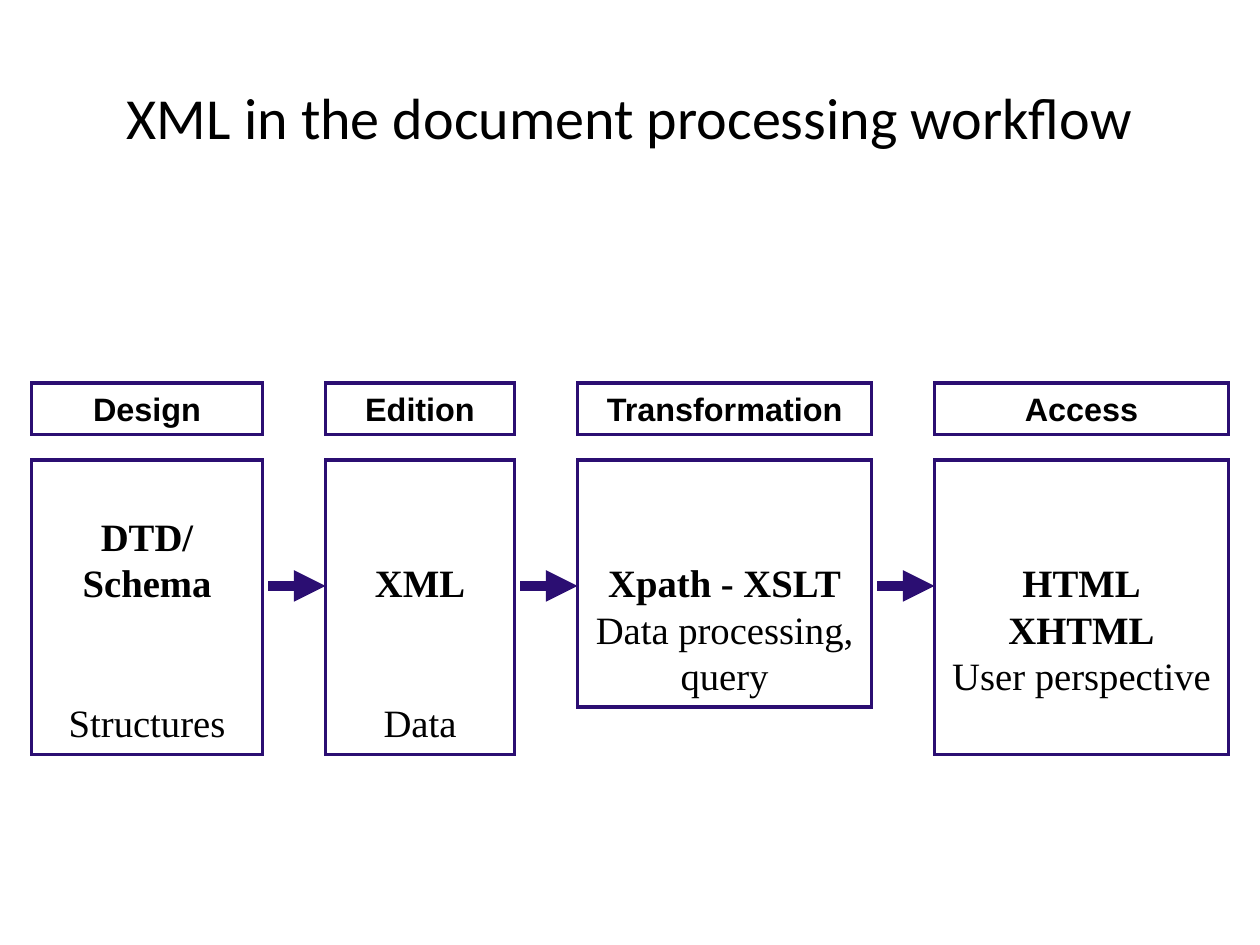
from lxml.etree import SubElement
from pptx import Presentation
from pptx.dml.color import RGBColor
from pptx.enum.shapes import MSO_CONNECTOR, MSO_SHAPE
from pptx.enum.text import MSO_ANCHOR, PP_ALIGN
from pptx.oxml.ns import qn
from pptx.util import Inches, Pt

COLORS = {"frame": "2B0E72", "text": "000000"}
UNIT = Inches(1) / 12  # grid step
LEFT, GAP = 3, 6  # in grid steps
HEAD_TOP, HEAD_HEIGHT = Inches(3.04), Inches(0.41)
BODY_TOP, ARROW_Y = Inches(3.65), Inches(4.65)
TALL, SHORT = Inches(2.34), Inches(1.96)
BODY_SIZE = 22.1
LINE = Pt(26.6)  # height of one body line

# heading, width in grid steps, body height, lines of (row, text, bold)
STAGES = [
    ("Design", 22, TALL,
     [(1, "DTD/", True), (2, "Schema", True), (5, "Structures", False)]),
    ("Edition", 18, TALL, [(2, "XML", True), (5, "Data", False)]),
    ("Transformation", 28, SHORT,
     [(2, "Xpath - XSLT", True), (3, "Data processing, query", False)]),
    ("Access", 28, TALL,
     [(2, "HTML", True), (3, "XHTML", True), (4, "User perspective", False)]),
]


def color(name):
    return RGBColor.from_string(COLORS[name])


def add_span(para, text, font, size, bold=False):
    para.alignment = PP_ALIGN.CENTER
    span = para.add_run()
    span.text = text
    span.font.name = font
    span.font.size = Pt(size)
    span.font.bold = bold
    span.font.color.rgb = color("text")


def add_title(page, text):
    title = page.shapes.title
    title.left, title.top = Inches(0.5), Inches(0.3)
    title.width, title.height = Inches(9), Inches(1.25)
    title.text_frame.vertical_anchor = MSO_ANCHOR.MIDDLE
    add_span(title.text_frame.paragraphs[0], text, "Calibri", 33.2)


def style_line(shape, width):
    """Colour the line, give it sharp corners and return its XML."""
    shape.line.color.rgb = color("frame")
    shape.line.width = Pt(width)
    outline = shape.line._get_or_add_ln()
    SubElement(outline, qn("a:miter"), lim="800000")
    return outline


def add_box(page, left, top, width, height):
    """Draw an outlined box and return its text frame."""
    box = page.shapes.add_shape(
        MSO_SHAPE.RECTANGLE, round(left), top, round(width), height)
    box.shadow.inherit = False
    box.fill.background()
    style_line(box, 2)
    frame = box.text_frame
    frame.word_wrap = True
    frame.vertical_anchor = MSO_ANCHOR.TOP
    return frame


def add_stage(page, left, width, heading, height, lines):
    """Draw a heading box with its body box below."""
    head = add_box(page, left, HEAD_TOP, width, HEAD_HEIGHT)
    add_span(head.paragraphs[0], heading, "Arial", 18.5, True)

    body = add_box(page, left, BODY_TOP, width, height)
    first_row = lines[0][0]
    body.margin_top = Inches(0.05) + first_row * LINE
    next_row = first_row
    for row, text, bold in lines:
        para = body.paragraphs[0] if row == first_row else body.add_paragraph()
        para.space_before = (row - next_row) * LINE
        add_span(para, text, "Times New Roman", BODY_SIZE, bold)
        next_row = row + 1


def add_arrow(page, start, end):
    arrow = page.shapes.add_connector(
        MSO_CONNECTOR.STRAIGHT, round(start), ARROW_Y, round(end), ARROW_Y)
    outline = style_line(arrow, 6)
    outline.set("cap", "sq")
    SubElement(outline, qn("a:tailEnd"), type="triangle")
    SubElement(arrow._element.spPr, qn("a:effectLst"))


def add_workflow(page):
    column = LEFT
    for index, (heading, columns, height, lines) in enumerate(STAGES):
        left = column * UNIT
        add_stage(page, left, columns * UNIT, heading, height, lines)
        if index:
            add_arrow(page, left - (GAP - 1) * UNIT, left)
        column += columns + GAP


def main():
    deck = Presentation()
    deck.slide_width, deck.slide_height = Inches(10), Inches(7.5)
    page = deck.slides.add_slide(deck.slide_layouts[5])
    add_title(page, "XML in the document processing workflow")
    add_workflow(page)
    deck.save("out.pptx")


if __name__ == "__main__":
    main()
